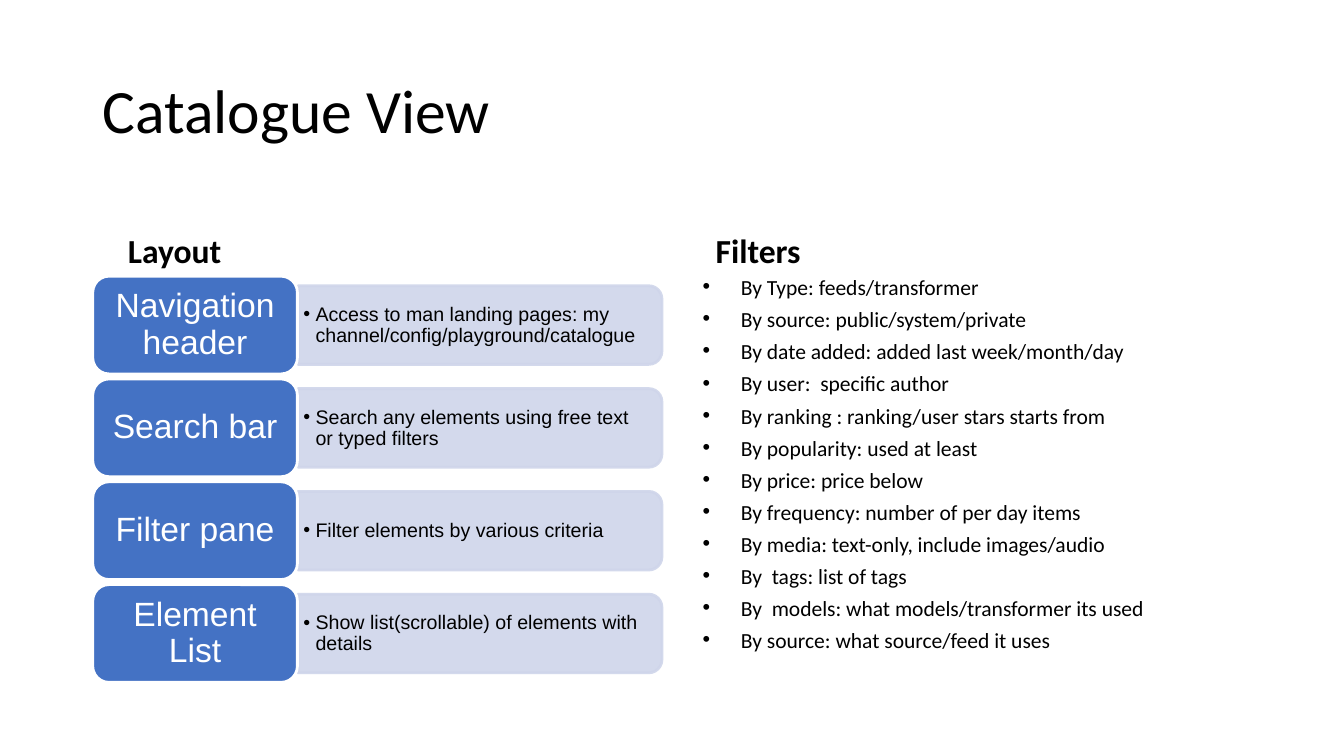
from lxml.etree import SubElement
from pptx import Presentation
from pptx.dml.color import RGBColor
from pptx.enum.shapes import MSO_SHAPE
from pptx.enum.text import MSO_ANCHOR, PP_ALIGN
from pptx.oxml.ns import qn
from pptx.util import Emu, Pt

SCALE = 9144  # EMU per px, 100 px to the inch

BLACK, WHITE = "000000", "FFFFFF"
BLUE, PALE_BLUE = "4472C4", "CFD5EA"

SECTIONS = [
    ("Navigation header",
     "Access to man landing pages: my channel/config/playground/catalogue"),
    ("Search bar", "Search any elements using free text or typed filters"),
    ("Filter pane", "Filter elements by various criteria"),
    ("Element List", "Show list(scrollable) of elements with details"),
]
FILTERS = [
    "By Type: feeds/transformer",
    "By source: public/system/private",
    "By date added: added last week/month/day",
    "By user:  specific author",
    "By ranking : ranking/user stars starts from",
    "By popularity: used at least",
    "By price: price below",
    "By frequency: number of per day items",
    "By media: text-only, include images/audio",
    "By  tags: list of tags",
    "By  models: what models/transformer its used",
    "By source: what source/feed it uses",
]


def px(length):
    return Emu(length * SCALE)


def color(hex_code):
    return RGBColor.from_string(hex_code)


class CatalogueSlide:
    def __init__(self, slide, heading_font="Calibri", diagram_font="Arial"):
        self.slide = slide
        self.heading_font = heading_font
        self.diagram_font = diagram_font

    def fill_text(self, frame, lines, size, font, ink=BLACK, bold=False,
                  anchor=MSO_ANCHOR.TOP, insets=(10, 5), indent=(0, 0), bullet=False,
                  spacing=0.9, gap=0, align=PP_ALIGN.LEFT):
        """Fill a text frame; indent is (left margin, first line) and gap is points between lines."""
        frame.word_wrap = True
        frame.vertical_anchor = anchor
        frame.margin_left = frame.margin_right = px(insets[0])
        frame.margin_top = frame.margin_bottom = px(insets[1])
        for number, line in enumerate(lines):
            paragraph = frame.add_paragraph() if number else frame.paragraphs[0]
            paragraph.text = line
            paragraph.alignment = align
            paragraph.line_spacing = spacing
            if number:
                paragraph.space_before = Pt(gap)
            properties = paragraph._p.get_or_add_pPr()
            properties.set("marL", str(px(indent[0])))
            properties.set("indent", str(px(indent[1])))
            if bullet:
                tint = SubElement(properties, qn("a:buClr"))
                SubElement(tint, qn("a:srgbClr"), val=BLACK)
                SubElement(properties, qn("a:buFont"), typeface="Arial")
                SubElement(properties, qn("a:buChar"), char="•")
            paragraph.font.size = Pt(size)
            paragraph.font.name = font
            paragraph.font.bold = bold
            paragraph.font.color.rgb = color(ink)

    def text(self, box, lines, size, font, **style):
        label = self.slide.shapes.add_textbox(*map(px, box))
        self.fill_text(label.text_frame, lines, size, font, **style)

    def shape(self, kind, box, fill, line):
        shape = self.slide.shapes.add_shape(kind, *map(px, box))
        shape.shadow.inherit = False
        shape.fill.solid()
        shape.fill.fore_color.rgb = color(fill)
        shape.line.color.rgb = color(line)
        shape.line.width = Pt(2)
        return shape

    def title(self, words):
        self.text((92, 40, 1150, 145), [words], 44, self.heading_font,
                  anchor=MSO_ANCHOR.MIDDLE)

    def heading(self, words, left):
        self.text((left, 184, 566, 90), [words], 24, self.heading_font, bold=True,
                  anchor=MSO_ANCHOR.BOTTOM, indent=(50, -25))

    def bullet_list(self, lines, left, top):
        self.text((left, top, 567, 403), lines, 15.4, self.heading_font, bullet=True,
                  indent=(50, -38), spacing=0.7, gap=10)

    def section(self, name, detail, left, top):
        """Draw a named card with its detail bar, which is a tall shape turned on its side."""
        bar = self.shape(MSO_SHAPE.ROUND_2_SAME_RECTANGLE, (left + 345, top - 132, 78, 361),
                         PALE_BLUE, PALE_BLUE)
        bar.rotation = 90
        for tint in bar._element.spPr.iter(qn("a:srgbClr")):
            SubElement(tint, qn("a:alpha"), val="90000")
        self.text((left + 203, top + 14, 357, 70), [detail], 14, self.diagram_font,
                  anchor=MSO_ANCHOR.MIDDLE, insets=(6, 3), indent=(12, -12), bullet=True)
        card = self.shape(MSO_SHAPE.ROUNDED_RECTANGLE, (left, top, 203, 97), BLUE, WHITE)
        self.fill_text(card.text_frame, [name], 24, self.diagram_font, ink=WHITE,
                       anchor=MSO_ANCHOR.MIDDLE, insets=(15, 5), align=PP_ALIGN.CENTER)


def main():
    presentation = Presentation()
    presentation.slide_width, presentation.slide_height = px(1333), px(750)
    catalogue = CatalogueSlide(presentation.slides.add_slide(presentation.slide_layouts[6]))

    layout_left, filters_left, content_top, section_pitch = 92, 675, 274, 102
    catalogue.title("Catalogue View")
    catalogue.heading("Layout", layout_left)
    for row, (name, detail) in enumerate(SECTIONS):
        catalogue.section(name, detail, layout_left, content_top + row * section_pitch)
    catalogue.heading("Filters", filters_left)
    catalogue.bullet_list(FILTERS, filters_left, content_top)

    presentation.save("out.pptx")


if __name__ == "__main__":
    main()
